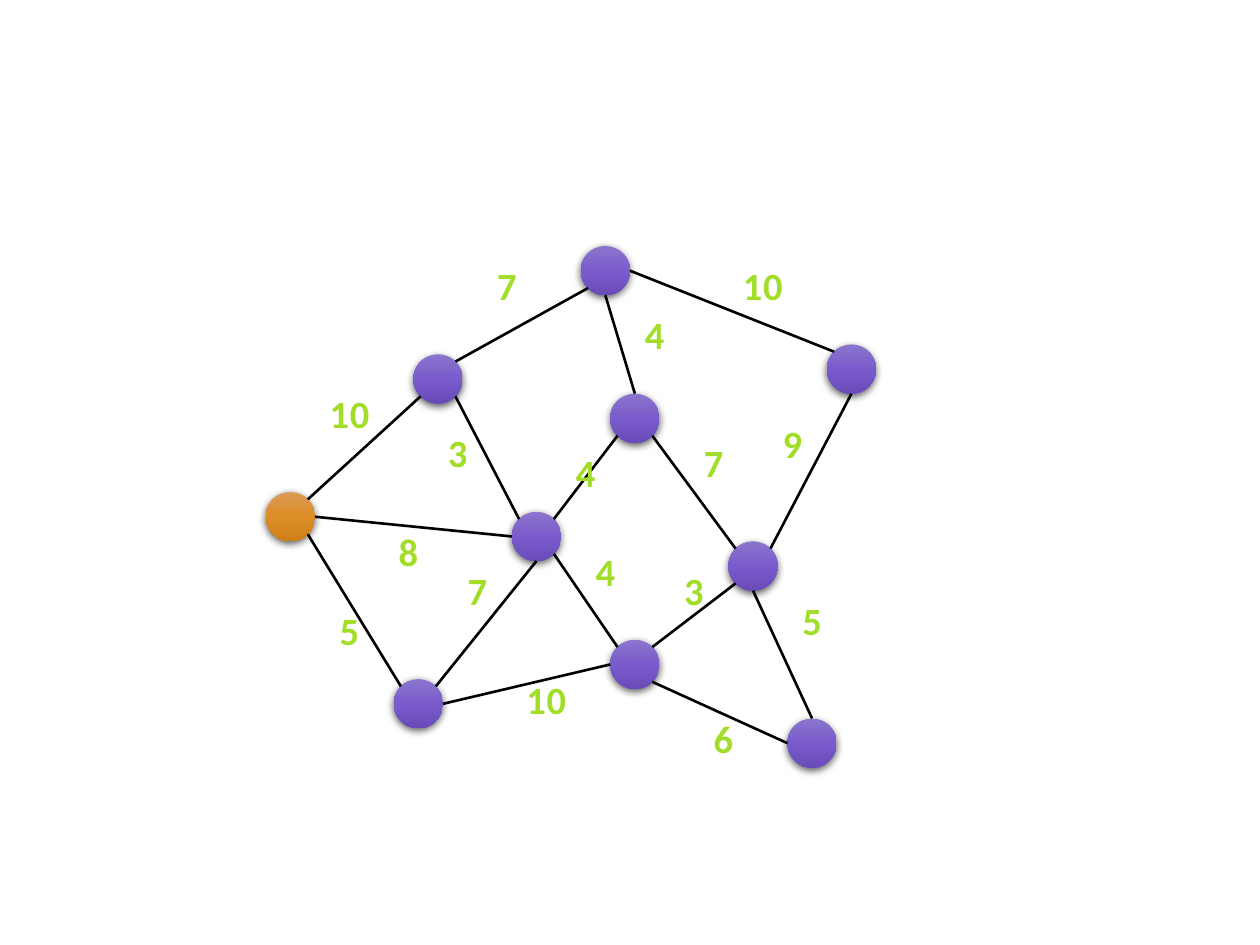
import math

from lxml import etree
from pptx import Presentation
from pptx.dml.color import RGBColor
from pptx.enum.shapes import MSO_CONNECTOR, MSO_SHAPE
from pptx.enum.text import MSO_AUTO_SIZE, PP_ALIGN
from pptx.oxml import parse_xml
from pptx.oxml.ns import nsdecls
from pptx.util import Inches, Pt

CIRCLE = MSO_SHAPE.OVAL
STRAIGHT = MSO_CONNECTOR.STRAIGHT
CENTER = PP_ALIGN.CENTER
GROW = MSO_AUTO_SIZE.SHAPE_TO_FIT_TEXT

BLACK = RGBColor(0x00, 0x00, 0x00)
ORANGE = [(0, RGBColor(0xDB, 0x99, 0x55)), (50, RGBColor(0xDD, 0x8D, 0x26)),
          (100, RGBColor(0xCE, 0x7F, 0x18))]
PURPLE = [(0, RGBColor(0x8B, 0x75, 0xCD)), (50, RGBColor(0x7A, 0x5B, 0xCB)),
          (100, RGBColor(0x6A, 0x4B, 0xBA))]
GREEN = [(25, RGBColor(0xA2, 0xDE, 0x29)), (100, RGBColor(0x74, 0xA1, 0x19))]

SLIDE_WIDTH, SLIDE_HEIGHT = Inches(10), Inches(7.5)
UNIT = SLIDE_WIDTH / 128
NODE_SIZE = 5
LABEL_WIDTH, LABEL_HEIGHT = 9, 6

# Column and row of each node's top left corner
NODES = {
    "v1": (27, 50), "v2": (42, 36), "v3": (52, 52), "v4": (40, 69),
    "v5": (59, 25), "v6": (62, 40), "v7": (62, 65), "v8": (84, 35),
    "v9": (74, 55), "v10": (80, 73),
}
START_NODE = "v1"

# Angles clockwise from the right
ANGLES = {side: 45 * step for step, side in
          enumerate(("E", "SE", "S", "SW", "W", "NW", "N", "NE"))}

# Node and side at each end, weight, column and row of the weight
EDGES = [
    ("v1", "NE", "v2", "SW", 10, 31, 39),
    ("v2", "NE", "v5", "SW", 7, 47, 26),
    ("v5", "E", "v8", "NW", 10, 73, 26),
    ("v1", "E", "v3", "W", 8, 37, 53),
    ("v2", "SE", "v3", "NW", 3, 42, 43),
    ("v1", "SE", "v4", "NW", 5, 31, 61),
    ("v4", "NE", "v3", "S", 7, 44, 57),
    ("v3", "SE", "v7", "NW", 4, 57, 55),
    ("v3", "NE", "v6", "SW", 4, 55, 45),
    ("v6", "SE", "v9", "NW", 7, 68, 44),
    ("v6", "N", "v5", "S", 4, 62, 31),
    ("v8", "S", "v9", "NE", 9, 76, 42),
    ("v9", "S", "v10", "N", 5, 78, 60),
    ("v7", "SE", "v10", "W", 6, 69, 72),
    ("v4", "E", "v7", "W", 10, 51, 68),
    ("v7", "NE", "v9", "SW", 3, 66, 57),
]


def grid(*counts):
    return [round(count * UNIT) for count in counts]


def vertical_gradient(stops):
    stop_list = "".join(
        f'<a:gs pos="{position * 1000}"><a:srgbClr val="{color}"/></a:gs>'
        for position, color in stops)
    return parse_xml(
        f'<a:gradFill {nsdecls("a")} rotWithShape="1"><a:gsLst>{stop_list}</a:gsLst>'
        '<a:lin ang="5400000" scaled="0"/></a:gradFill>')


def drop_shadow():
    return parse_xml(
        f'<a:effectLst {nsdecls("a")}>'
        f'<a:outerShdw blurRad="{Pt(4.5)}" dist="{Pt(1.5)}" dir="5400000" rotWithShape="0">'
        f'<a:srgbClr val="{BLACK}"><a:alpha val="63000"/></a:srgbClr>'
        '</a:outerShdw></a:effectLst>')


def add_node(slide, column, row, stops):
    node = slide.shapes.add_shape(CIRCLE, *grid(column, row, NODE_SIZE, NODE_SIZE))
    node.line.fill.background()
    properties = node.element.spPr
    properties.insert(2, vertical_gradient(stops))
    properties.append(drop_shadow())


def rim_point(name, side):
    """Return the point on a node's outline that faces the given side."""
    column, row = NODES[name]
    angle = math.radians(ANGLES[side])
    radius = NODE_SIZE / 2
    return grid(column + radius * (1 + math.cos(angle)),
                row + radius * (1 + math.sin(angle)))


def add_edge(slide, start, end):
    edge = slide.shapes.add_connector(STRAIGHT, *start, *end)
    edge.line.color.rgb = BLACK
    edge.line.width = Pt(1.5)
    etree.SubElement(edge.element.spPr,
                     "{http://schemas.openxmlformats.org/drawingml/2006/main}effectLst")


def add_text(slide, text, column, row, *, size=22, font="Calibri", stops=GREEN, spacing=0.5):
    box = slide.shapes.add_textbox(*grid(column, row, LABEL_WIDTH, LABEL_HEIGHT))
    frame = box.text_frame
    frame.word_wrap = True
    frame.auto_size = GROW
    paragraph = frame.paragraphs[0]
    paragraph.alignment = CENTER
    run = paragraph.add_run()
    run.text = text
    run.font.size = Pt(size)
    run.font.bold = True
    run_properties = run.font._element if hasattr(run.font, "_element") else run._r.get_or_add_rPr()
    run_properties.set("spc", str(int(spacing * 100)))
    run_properties.insert(0, vertical_gradient(stops))
    run.font.name = font


def main():
    presentation = Presentation()
    presentation.slide_width, presentation.slide_height = SLIDE_WIDTH, SLIDE_HEIGHT
    slide = presentation.slides.add_slide(presentation.slide_layouts[6])

    for name, (column, row) in NODES.items():
        add_node(slide, column, row, ORANGE if name == START_NODE else PURPLE)
    for start, start_side, end, end_side, *_ in EDGES:
        add_edge(slide, rim_point(start, start_side), rim_point(end, end_side))
    for *_, weight, column, row in EDGES:
        add_text(slide, str(weight), column, row)

    presentation.save("out.pptx")


if __name__ == "__main__":
    main()
